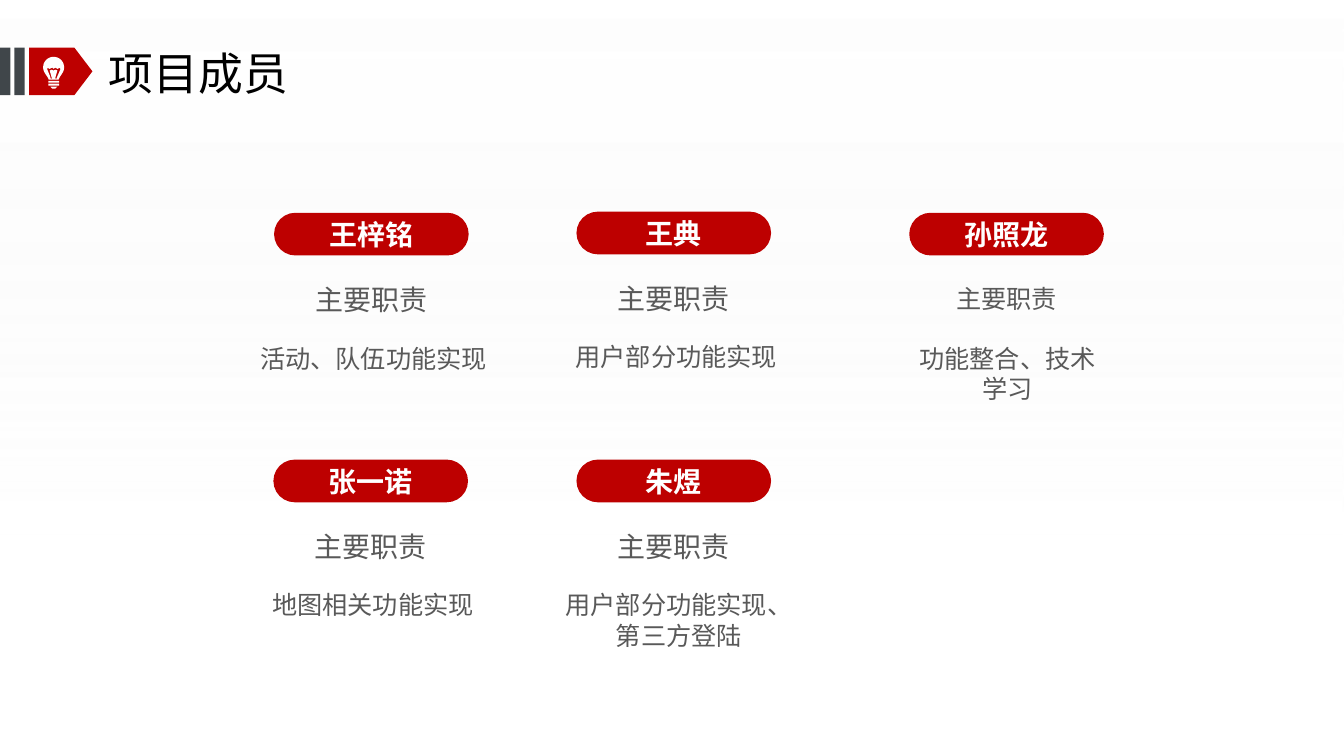
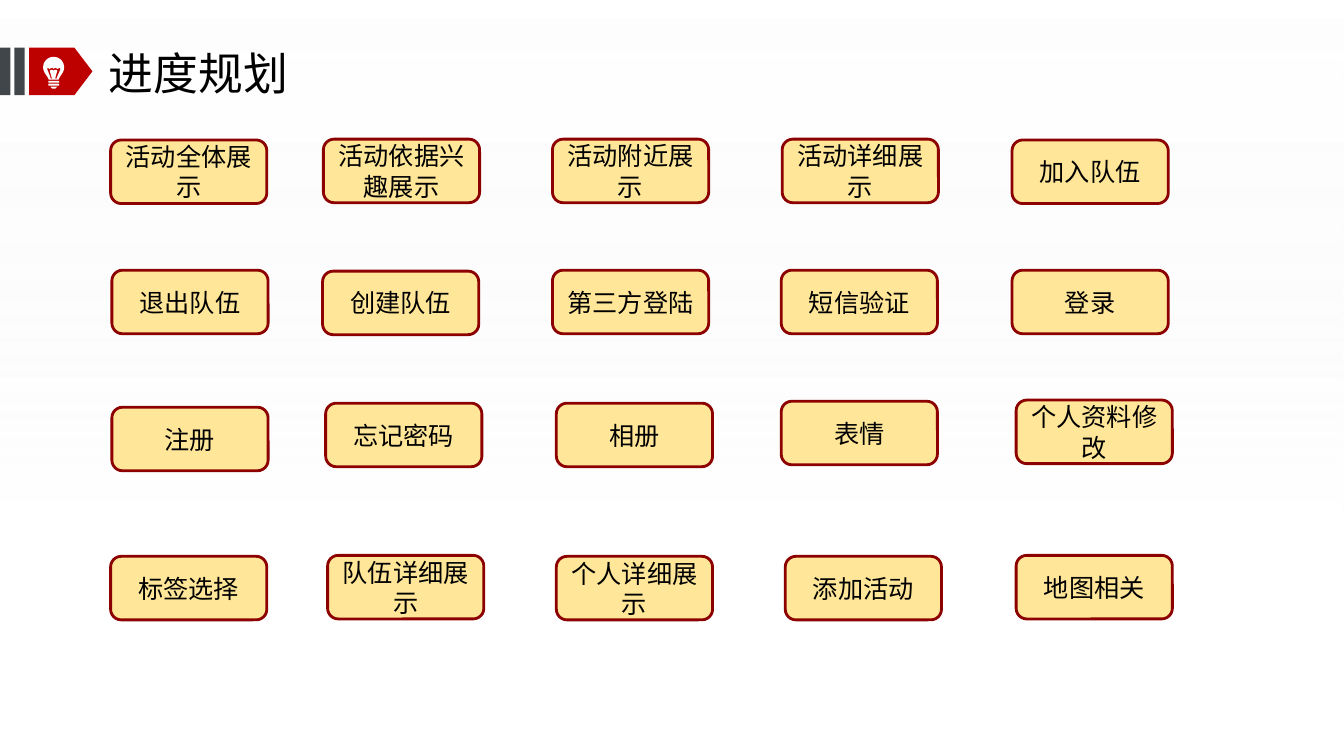
from math import cos, radians, sin

from lxml.etree import SubElement
from pptx import Presentation
from pptx.dml.color import RGBColor
from pptx.enum.shapes import MSO_SHAPE
from pptx.enum.text import MSO_ANCHOR, PP_ALIGN
from pptx.oxml.ns import qn
from pptx.util import Pt

RED, DARK_RED, SLATE = "BD0000", "8C0000", "40464A"
WHITE, BLACK, GREY, SAND = "FFFFFF", "000000", "595959", "FFE699"
CJK_FONT = "Noto Sans CJK SC"


def add_block(slide, preset, box, fill, line=None, corner=None):
    block = slide.shapes.add_shape(preset, *map(Pt, box))
    block.shadow.inherit = False
    block.fill.solid()
    block.fill.fore_color.rgb = RGBColor.from_string(fill)
    if line:
        block.line.color.rgb = RGBColor.from_string(line)
        block.line.width = Pt(2)
    else:
        block.line.fill.background()
    if corner is not None:
        block.adjustments[0] = corner
    return block


def write(holder, text, size, color, font=CJK_FONT, bold=False,
          align=PP_ALIGN.CENTER, anchor=MSO_ANCHOR.MIDDLE, inset=(0, 0)):
    """Fill a shape or text box; each line of text becomes a paragraph."""
    frame = holder.text_frame
    frame.word_wrap = True
    frame.vertical_anchor = anchor
    frame.margin_left = frame.margin_right = Pt(inset[0])
    frame.margin_top = frame.margin_bottom = Pt(inset[1])
    frame.text = text
    for paragraph in frame.paragraphs:
        paragraph.alignment = align
        paragraph.line_spacing = Pt(1.2 * size)
        for run in paragraph.runs:
            run.font.size = Pt(size)
            run.font.bold = bold
            run.font.color.rgb = RGBColor.from_string(color)
            run.font.name = font
            SubElement(run.font._element, qn("a:ea"), typeface=font)


# Light bulb outline: glass with filament cut out, two bands and a tip
glass = [(38.3 + 7.5 * cos(radians(a)), 48.1 + 7.5 * sin(radians(a)))
         for a in range(150, 391, 10)]
glass += [(42.5, 55.4), (41.8, 56.9), (34.8, 56.9), (34.2, 55.4)]
filament = [(43.2, 49.4), (40.6, 55.4), (40.4, 56.2), (39.5, 56.2), (39.7, 54.8),
            (41, 50.4), (39.6, 49.8), (38.3, 50.4), (36.9, 49.8), (35.5, 50.4),
            (36.9, 55.4), (37.1, 56.2), (36.2, 56.2), (35.9, 54.8), (33.7, 49.4),
            (34, 48.4), (35.4, 49.2), (37.3, 48.3), (38.3, 49.2), (39.4, 48.3),
            (41.2, 49.2), (42.6, 48.4)]
bands = [[(34.5, y), (42.2, y), (42.2, y + 1.4), (34.5, y + 1.4)] for y in (57.7, 59.8)]
tip = [(36, 61.9), (41, 61.9), (39.5, 63.3), (37.2, 63.3)]
bulb_contours = [glass, filament, *bands, tip]

deck = Presentation()
deck.slide_width, deck.slide_height = Pt(960), Pt(540)

slides = []
for title in ("项目成员", "进度规划"):
    slide = deck.slides.add_slide(deck.slide_layouts[6])
    slides.append(slide)

    backdrop = add_block(slide, MSO_SHAPE.RECTANGLE, (0, 0, 960, 540), WHITE)
    backdrop.fill.gradient()
    backdrop.fill.gradient_angle = 270
    for stop, position, color in zip(backdrop.fill.gradient_stops, (0, 0.71), (WHITE, "F2F2F2")):
        stop.position = position
        stop.color.rgb = RGBColor.from_string(color)
    tints = backdrop.fill._xPr.findall(".//" + qn("a:srgbClr"))
    for tint, opacity in zip(tints, ("55000", "0")):
        SubElement(tint, qn("a:alpha"), val=opacity)

    add_block(slide, MSO_SHAPE.PENTAGON, (20.8, 34, 45.2, 34), RED, corner=0.38)
    for left in (10.2, 0):
        add_block(slide, MSO_SHAPE.RECTANGLE, (left, 34, 7.4, 34), SLATE)

    outline = slide.shapes.build_freeform(Pt(glass[0][0]), Pt(glass[0][1]))
    for contour in bulb_contours:
        points = [(Pt(x), Pt(y)) for x, y in contour]
        if contour is not glass:
            outline.move_to(*points[0])
        outline.add_line_segments(points[1:], close=True)
    bulb = outline.convert_to_shape()
    bulb.shadow.inherit = False
    bulb.fill.solid()
    bulb.fill.fore_color.rgb = RGBColor.from_string(WHITE)
    bulb.line.fill.background()

    heading = slide.shapes.add_textbox(Pt(77.8), Pt(31.7), Pt(396.7), Pt(39.6))
    write(heading, title, 32, BLACK, align=PP_ALIGN.LEFT)

members_slide, plan_slide = slides

# Name, pill centre, pill top, label size, duty, duty centre, duty width
members = [
    ("王梓铭", 265.3, 152, 20, "活动、队伍功能实现", 266.8, 178),
    ("王典", 481.3, 151.2, 20, "用户部分功能实现", 483.1, 178),
    ("孙照龙", 719, 152, 18, "功能整合、技术学习", 719.6, 140.4),
    ("张一诺", 264.8, 328.3, 20, "地图相关功能实现", 266.4, 178),
    ("朱煜", 481.3, 328.3, 20, "用户部分功能实现、\n第三方登陆", 484.9, 178),
]
for name, centre, top, label_size, duty, duty_centre, duty_width in members:
    pill = add_block(members_slide, MSO_SHAPE.ROUNDED_RECTANGLE,
                     (centre - 69.5, top, 139, 30.5), RED, corner=0.5)
    write(pill, name, 20, WHITE, bold=True)
    label = members_slide.shapes.add_textbox(Pt(centre - 81), Pt(top + 46.5), Pt(162), Pt(31.5))
    write(label, "主要职责", label_size, GREY, anchor=MSO_ANCHOR.TOP, inset=(7.2, 3.6))
    detail = members_slide.shapes.add_textbox(
        Pt(duty_centre - duty_width / 2), Pt(top + 92.9), Pt(duty_width), Pt(43.9))
    write(detail, duty, 18, GREY, anchor=MSO_ANCHOR.TOP)

# Task, left, top
tasks = [
    ("活动全体展示", 79, 100), ("活动依据兴趣展示", 231, 99.4), ("活动附近展示", 394.6, 99.4),
    ("活动详细展示", 558.7, 99.4), ("加入队伍", 722.9, 100),
    ("退出队伍", 79.9, 193), ("创建队伍", 230.4, 193.7), ("第三方登陆", 394.6, 193),
    ("短信验证", 558, 193), ("登录", 722.9, 193),
    ("注册", 79.9, 290.9), ("忘记密码", 232.6, 288), ("相册", 397.4, 288),
    ("表情", 558, 286.6), ("个人资料修改", 725.8, 285.8),
    ("标签选择", 79, 397.4), ("队伍详细展示", 234, 396.7), ("个人详细展示", 397.4, 397.4),
    ("添加活动", 560.9, 397.4), ("地图相关", 725.8, 396.7),
]
for task, left, top in tasks:
    card = add_block(plan_slide, MSO_SHAPE.ROUNDED_RECTANGLE,
                     (left, top, 111.6, 45.4), SAND, line=DARK_RED)
    write(card, task, 18, BLACK, font="Calibri", inset=(7.2, 3.6))

deck.save("out.pptx")
